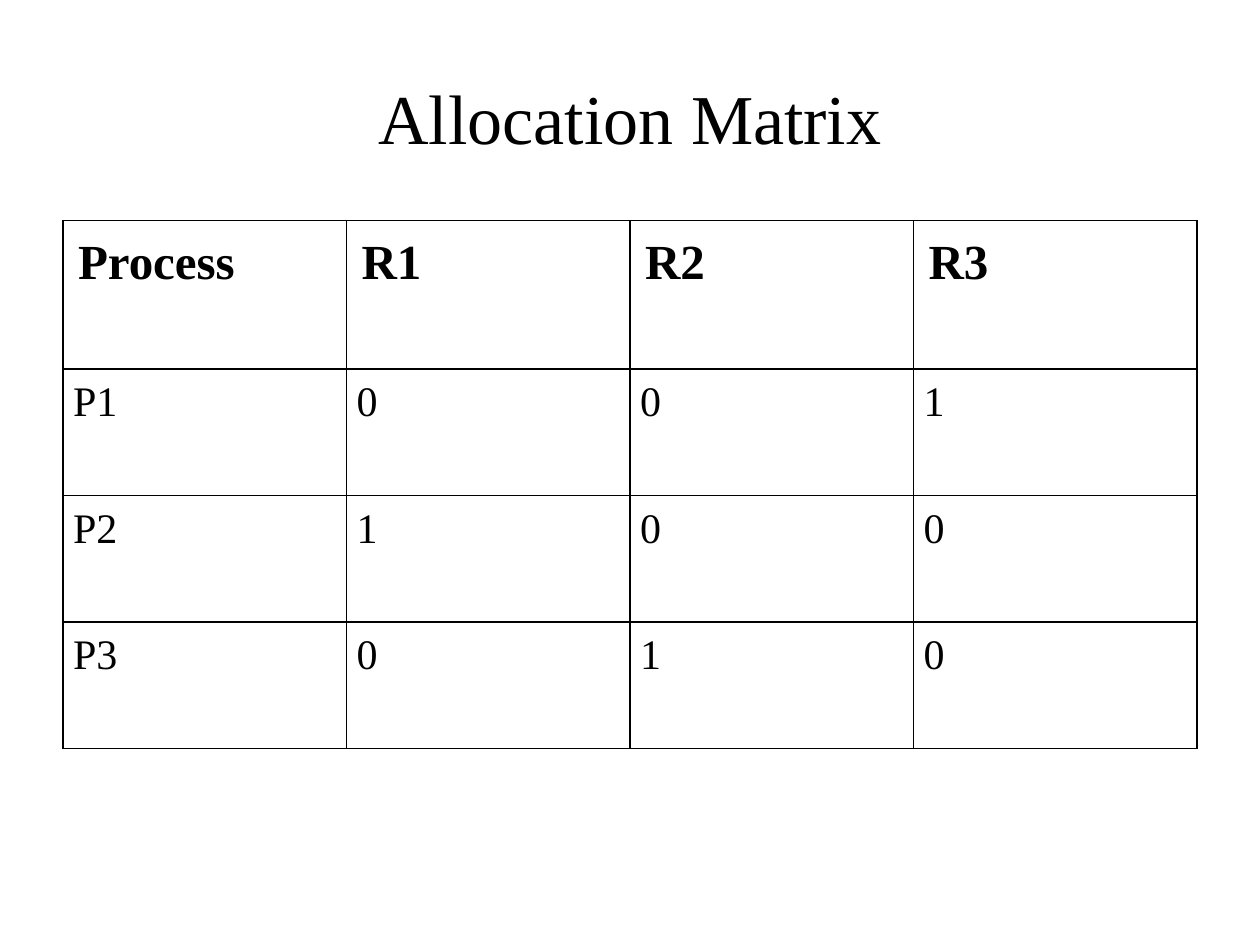
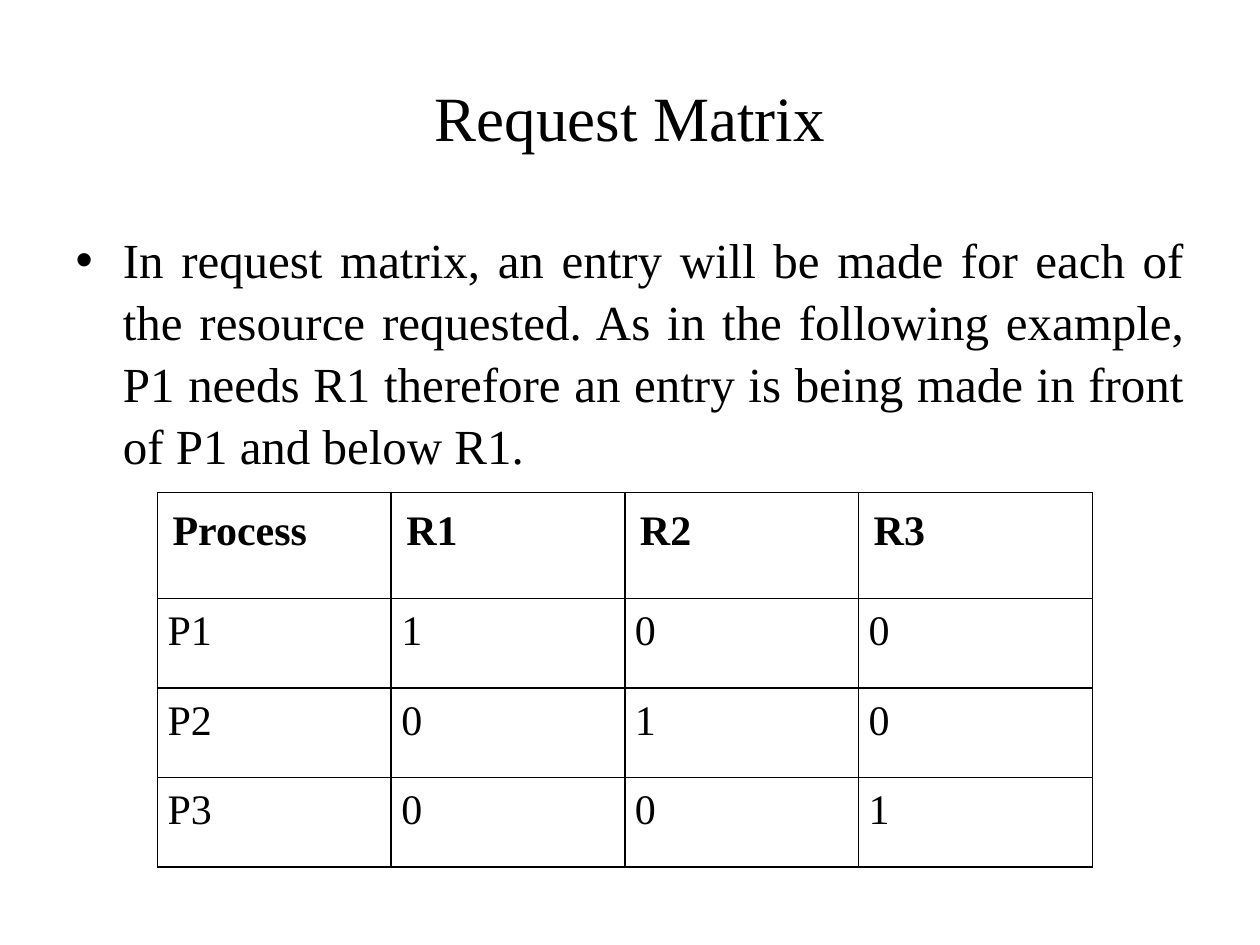
from lxml import etree
from pptx import Presentation
from pptx.dml.color import RGBColor
from pptx.enum.text import MSO_ANCHOR, MSO_AUTO_SIZE, PP_ALIGN
from pptx.oxml.ns import qn
from pptx.util import Inches, Pt

CENTER, JUSTIFY = PP_ALIGN.CENTER, PP_ALIGN.JUSTIFY
MIDDLE = MSO_ANCHOR.MIDDLE
NO_AUTOFIT = MSO_AUTO_SIZE.NONE
COLORS = {"ink": "000000", "paper": "FFFFFF"}
FONT = "Times New Roman"
TITLE_BOX = (0.5, 0.3, 9, 1.25)
BODY_BOX = (0.5, 1.75, 9, 4.95)
TITLE_ONLY, TITLE_AND_CONTENT = 5, 1
HEADINGS = ("Process", "R1", "R2", "R3")
ALLOCATED = (("P1", 0, 0, 1), ("P2", 1, 0, 0), ("P3", 0, 1, 0))
REQUESTED = (("P1", 1, 0, 0), ("P2", 0, 1, 0), ("P3", 0, 0, 1))
REQUEST_NOTE = (
    "In request matrix, an entry will be made for each of the resource requested. "
    "As in the following example, P1 needs R1 therefore an entry is being made "
    "in front of P1 and below R1."
)


def write(frame, text, size, bold=False, align=None):
    """Fill a text frame with one paragraph in the deck's font."""
    frame.text = text
    paragraph = frame.paragraphs[0]
    paragraph.alignment = align
    font = paragraph.runs[0].font
    font.name, font.size, font.bold = FONT, Pt(size), bold
    font.color.rgb = RGBColor.from_string(COLORS["ink"])
    return paragraph


def place(shape, box):
    """Move a shape to a box given in inches."""
    shape.left, shape.top, shape.width, shape.height = map(Inches, box)


def add_titled_slide(prs, layout, title, size):
    """Add a slide with its title in the shared position."""
    slide = prs.slides.add_slide(prs.slide_layouts[layout])
    heading = slide.shapes.title
    place(heading, TITLE_BOX)
    heading.text_frame.vertical_anchor = MIDDLE
    heading.text_frame.auto_size = NO_AUTOFIT
    write(heading.text_frame, title, size, align=CENTER)
    return slide


def add_bullet(slide, text, size):
    """Write a justified bullet in the body placeholder."""
    body = slide.placeholders[1]
    place(body, BODY_BOX)
    body.text_frame.auto_size = NO_AUTOFIT
    write(body.text_frame, text, size, align=JUSTIFY).line_spacing = 1.05


def outline(cell):
    """Draw a one-point border on every side of a cell."""
    props = cell._tc.get_or_add_tcPr()
    for position, side in enumerate(("lnL", "lnR", "lnT", "lnB")):
        line = etree.Element(qn(f"a:{side}"), w=str(Pt(1)))
        fill = etree.SubElement(line, qn("a:solidFill"))
        etree.SubElement(fill, qn("a:srgbClr"), val=COLORS["ink"])
        props.insert(position, line)


def format_cell(cell, text, size, inset, bold):
    """Set the text, margins, fill and border of a cell."""
    write(cell.text_frame, str(text), size, bold)
    cell.margin_left = cell.margin_right = Inches(inset)
    cell.margin_top = cell.margin_bottom = Inches(inset)
    cell.fill.solid()
    cell.fill.fore_color.rgb = RGBColor.from_string(COLORS["paper"])
    outline(cell)


def add_matrix(slide, box, header_height, header_size, processes):
    """Add a process-by-resource table with equal columns and equal process rows."""
    rows = (HEADINGS, *processes)
    matrix = slide.shapes.add_table(len(rows), len(HEADINGS), *map(Inches, box)).table
    for column in matrix.columns:
        column.width = Inches(box[2] / len(HEADINGS))
    for index, values in enumerate(rows):
        is_header = index == 0
        process_height = (box[3] - header_height) / len(processes)
        matrix.rows[index].height = Inches(header_height if is_header else process_height)
        size, inset = (header_size, 0.12) if is_header else (24, 0.08)
        for column, value in enumerate(values):
            format_cell(matrix.cell(index, column), value, size, inset, is_header)


def build_allocation(prs):
    """Build the allocation matrix slide."""
    slide = add_titled_slide(prs, TITLE_ONLY, "Allocation Matrix", 40)
    add_matrix(slide, (0.5, 1.75, 9, 4.19), 1.18, 28, ALLOCATED)


def build_request(prs):
    """Build the request matrix slide."""
    slide = add_titled_slide(prs, TITLE_AND_CONTENT, "Request Matrix", 36)
    add_bullet(slide, REQUEST_NOTE, 28)
    add_matrix(slide, (1.25, 3.91, 7.42, 2.97), 0.84, 24, REQUESTED)


def main():
    """Build and save the deck."""
    prs = Presentation()
    prs.slide_width, prs.slide_height = Inches(10), Inches(7.5)
    build_allocation(prs)
    build_request(prs)
    prs.save("out.pptx")


if __name__ == "__main__":
    main()
